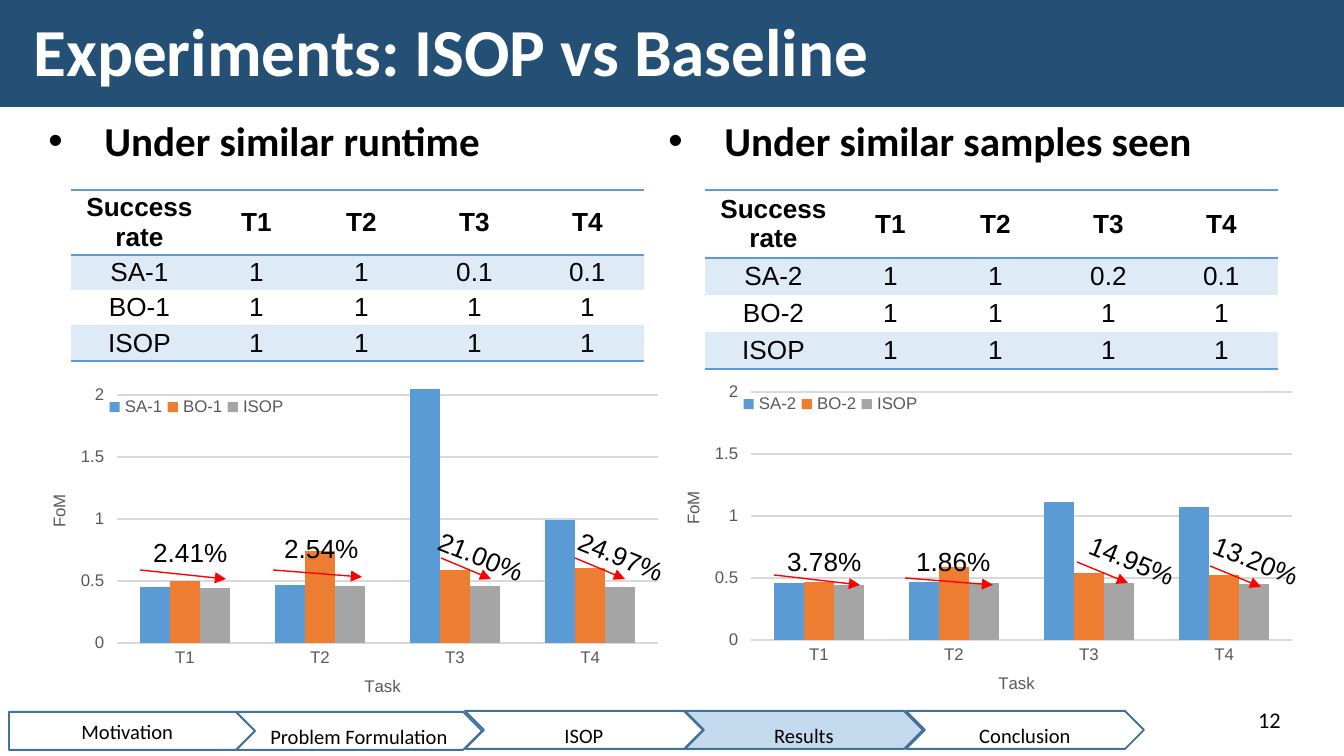
from dataclasses import dataclass

from lxml import etree
from pptx import Presentation
from pptx.chart.data import CategoryChartData
from pptx.dml.color import RGBColor
from pptx.enum.chart import XL_CHART_TYPE, XL_LEGEND_POSITION, XL_TICK_MARK
from pptx.enum.shapes import MSO_CONNECTOR, MSO_SHAPE
from pptx.enum.text import MSO_ANCHOR, MSO_AUTO_SIZE, PP_ALIGN
from pptx.oxml.ns import qn
from pptx.util import Pt

COLUMN = XL_CHART_TYPE.COLUMN_CLUSTERED
BELOW = XL_LEGEND_POSITION.BOTTOM
NO_TICK = XL_TICK_MARK.NONE
STRAIGHT = MSO_CONNECTOR.STRAIGHT
RECT, FIRST, NEXT = MSO_SHAPE.RECTANGLE, MSO_SHAPE.PENTAGON, MSO_SHAPE.CHEVRON
TOP, MIDDLE, BOTTOM = MSO_ANCHOR.TOP, MSO_ANCHOR.MIDDLE, MSO_ANCHOR.BOTTOM
LEFT, CENTER, RIGHT = PP_ALIGN.LEFT, PP_ALIGN.CENTER, PP_ALIGN.RIGHT
FIXED = MSO_AUTO_SIZE.NONE
PLAIN_GRID = "{2D5ABB26-0587-4C30-8999-92F81FD0307C}"
TASKS = ("T1", "T2", "T3", "T4")


@dataclass(frozen=True)
class Theme:
    head: str = "Calibri"
    text: str = "Arial"
    black: str = "000000"
    white: str = "FFFFFF"
    band: str = "255076"
    step: str = "42719B"
    now: str = "C4DAEF"
    rule: str = "5B9BD5"
    stripe: str = "DEEBF7"
    axis: str = "595959"
    grid: str = "D9D9D9"
    arrow: str = "FF0000"
    bars: tuple = ("5B9BD5", "ED7D31", "A5A5A5")
    title: int = 36
    topic: int = 22
    cell: int = 14
    page: int = 12
    crumb: int = 11
    tick: int = 9


THEME = Theme()


def px(n):
    return round(n * 914400 / 134.4)


def rgb(code):
    return RGBColor.from_string(code)


def style(font, size, color=THEME.black, name=THEME.text, bold=False):
    font.size, font.name, font.bold = Pt(size), name, bold
    font.color.rgb = rgb(color)


def place(shape, box):
    shape.left, shape.top, shape.width, shape.height = map(px, box)


def write(shape, text, size, color=THEME.black, name=THEME.head, bold=False,
          align=LEFT, anchor=TOP, space=None, wrap=True):
    frame = shape.text_frame
    frame.text = text
    frame.word_wrap, frame.auto_size = wrap, FIXED
    frame.vertical_anchor = anchor
    line = frame.paragraphs[0]
    line.alignment, line.line_spacing = align, space
    style(line.font, size, color, name, bold)
    return line


def header(slide, box, text):
    x, y, w, h = box
    band = slide.shapes.add_shape(RECT, *map(px, box))
    band.shadow.inherit = False
    band.fill.solid()
    band.fill.fore_color.rgb = rgb(THEME.band)
    band.line.fill.background()
    title = slide.shapes.title
    title.element.addprevious(band.element)
    place(title, (x + 20, y + 13, w - 40, h - 23))
    write(title, text, THEME.title, THEME.white, bold=True, anchor=MIDDLE, space=0.9)


def topic(hold, box, text):
    place(hold, box)
    line = write(hold, text, THEME.topic, bold=True, space=0.9)
    line.space_before = Pt(7.5)
    props = line._p.get_or_add_pPr()
    props.set("marL", str(px(67)))
    props.set("indent", str(px(-56)))


def edge(cell, sides):
    props = cell._tc.get_or_add_tcPr()
    for spot, side in enumerate(sides):
        line = etree.Element(qn(f"a:ln{side}"), w=str(Pt(1)))
        fill = etree.SubElement(line, qn("a:solidFill"))
        etree.SubElement(fill, qn("a:srgbClr"), val=THEME.rule)
        props.insert(spot, line)


def rates(slide, box, rows, first):
    x, y, w, h = box
    table = slide.shapes.add_table(len(rows), len(rows[0]), *map(px, box)).table
    table.first_row = table.horz_banding = False
    table._tbl.tblPr.find(qn("a:tableStyleId")).text = PLAIN_GRID
    for col, width in zip(table.columns, (137, 97, 113, 113, 113)):
        col.width = px(width)
    for r, row in enumerate(rows):
        table.rows[r].height = px(first if r == 0 else (h - first) / (len(rows) - 1))
        for c, text in enumerate(row):
            cell = table.cell(r, c)
            cell.text = text
            cell.vertical_anchor = MIDDLE
            cell.margin_top = cell.margin_bottom = px(3)
            for line in cell.text_frame.paragraphs:
                line.alignment = CENTER
                style(line.font, THEME.cell, bold=r == 0)
            if r % 2:
                cell.fill.solid()
                cell.fill.fore_color.rgb = rgb(THEME.stripe)
            else:
                cell.fill.background()
            edge(cell, {0: "TB", len(rows) - 1: "B"}.get(r, ""))


def pin(node, spot, **part):
    for old in node.findall(qn("c:layout")):
        node.remove(old)
    frame = etree.Element(qn("c:layout"))
    manual = etree.SubElement(frame, qn("c:manualLayout"))
    if node.tag == qn("c:plotArea"):
        etree.SubElement(manual, qn("c:layoutTarget"), val="inner")
    for key in "xy":
        etree.SubElement(manual, qn(f"c:{key}Mode"), val="edge")
    for key, size in part.items():
        etree.SubElement(manual, qn(f"c:{key}"), val=str(size))
    node.insert(spot, frame)


def bars(slide, box, sets):
    data = CategoryChartData()
    data.categories = TASKS
    for name, vals in sets.items():
        data.add_series(name, vals)
    chart = slide.shapes.add_chart(COLUMN, *map(px, box), data).chart
    chart.has_title, chart.has_legend = False, True
    chart.legend.position, chart.legend.include_in_layout = BELOW, False
    plot = chart.plots[0]
    plot.gap_width, plot.overlap, plot.vary_by_categories = 150, 0, False
    for group, color in zip(plot.series, THEME.bars):
        group.format.fill.solid()
        group.format.fill.fore_color.rgb = rgb(color)
    base, scale = chart.category_axis, chart.value_axis
    for axis, name in ((base, "Task"), (scale, "FoM")):
        frame = axis.axis_title.text_frame
        frame.text = name
        style(frame.paragraphs[0].font, THEME.tick, THEME.axis)
    for part in (chart, chart.legend, base.tick_labels, scale.tick_labels):
        style(part.font, THEME.tick, THEME.axis)
    base.major_tick_mark = NO_TICK
    scale.minimum_scale, scale.maximum_scale, scale.major_unit = 0, 2.25, 0.5
    scale.format.line.fill.background()
    scale.has_major_gridlines = True
    for line in (base.format.line, scale.major_gridlines.format.line):
        line.color.rgb, line.width = rgb(THEME.grid), Pt(0.75)
    root = chart.element
    pin(root.find(f".//{qn('c:plotArea')}"), 0, x=0.16, y=0.02, w=0.82, h=0.68)
    pin(root.find(f".//{qn('c:legend')}"), 1, x=0.14, y=0.1, w=0.28, h=0.05)
    pin(base.axis_title.element, 1, x=0.53, y=0.77)
    pin(scale.axis_title.element, 1, x=0.05, y=0.33)
    scale.axis_title.element.find(f".//{qn('a:bodyPr')}").set("rot", "-5400000")


def gain(slide, box, text, at, turn):
    x, y, w, h = box
    line = slide.shapes.add_connector(STRAIGHT, px(x), px(y), px(x + w), px(y + h))
    line.line.color.rgb, line.line.width = rgb(THEME.arrow), Pt(0.75)
    props = line.element.spPr
    etree.SubElement(props.find(qn("a:ln")), qn("a:tailEnd"), type="triangle")
    etree.SubElement(props, qn("a:effectLst"))
    label = slide.shapes.add_textbox(*map(px, (*at, 122, 46)))
    label.rotation = turn
    write(label, text, THEME.cell, name=THEME.text, wrap=False)


def results(slide, box, sets, odds, first, gains):
    x, y, w, h = box
    bars(slide, box, sets)
    for spot, (text, dx, dy, dw, dh, tx, ty) in enumerate(gains):
        gain(slide, (x + dx, y + dy, dw, dh), text, (x + tx, y + ty), 22.1 if spot > 1 else 0)
    rows = [("Success\nrate", *TASKS)] + [(name, *row) for name, row in zip(sets, odds)]
    rates(slide, (x + 59, 190, 573, first * 2.63), rows, first)


def footer(slide, box, steps, now, page):
    x, y, w, h = box
    spots = ((0, 1, 246), (227, 1, 246), (456, 0, 238), (676, 0, 238), (897, 0, 238))
    for spot, (text, (dx, dy, width)) in enumerate(zip(steps, spots)):
        kind = NEXT if spot else FIRST
        step = slide.shapes.add_shape(kind, *map(px, (x + dx, y + dy, width, h)))
        step.shadow.inherit = False
        step.line.color.rgb, step.line.width = rgb(THEME.step), Pt(1)
        if text == now:
            step.fill.solid()
            step.fill.fore_color.rgb = rgb(THEME.now)
        else:
            step.fill.background()
        write(step, text, THEME.crumb, align=CENTER, anchor=MIDDLE, space=1.45 if spot else None)
        step.text_frame.margin_left = step.text_frame.margin_right = 0
    label = slide.shapes.add_textbox(*map(px, (x + w - 345, y - 11, 345, 40)))
    write(label, page, THEME.page, align=RIGHT, anchor=BOTTOM)


def main():
    deck = Presentation()
    deck.slide_width, deck.slide_height = px(1344), px(756)
    slide = deck.slides.add_slide(deck.slide_layouts[3])
    header(slide, (0, 0, 1344, 107), "Experiments: ISOP vs Baseline")
    topic(slide.placeholders[1], (24, 114, 669, 102), "Under similar runtime")
    topic(slide.placeholders[2], (644, 114, 773, 126), "Under similar samples seen")
    isop = (0.44, 0.46, 0.46, 0.45)
    results(slide, (12, 356, 659, 410),
            {"SA-1": (0.45, 0.47, 2.05, 0.99), "BO-1": (0.5, 0.74, 0.59, 0.6), "ISOP": isop},
            (("1", "1", "0.1", "0.1"), "1111", "1111"), 64,
            (("2.41%", 128, 214, 86, 9, 128, 174), ("2.54%", 261, 214, 89, 7, 259, 170),
             ("21.00%", 429, 202, 50, 21, 411, 179), ("24.97%", 563, 202, 50, 21, 551, 179)))
    results(slide, (646, 353, 659, 410),
            {"SA-2": (0.46, 0.47, 1.11, 1.07), "BO-2": (0.47, 0.59, 0.54, 0.52), "ISOP": isop},
            (("1", "1", "0.2", "0.1"), "1111", "1111"), 68,
            (("3.78%", 128, 222, 86, 10, 128, 186), ("1.86%", 259, 225, 88, 7, 257, 186),
             ("14.95%", 431, 209, 51, 21, 428, 186), ("13.20%", 564, 213, 51, 21, 552, 186)))
    footer(slide, (9, 711, 1285, 38),
           ("Motivation", "Problem Formulation", "ISOP", "Results", "Conclusion"), "Results", "12")
    deck.save("out.pptx")


if __name__ == "__main__":
    main()
